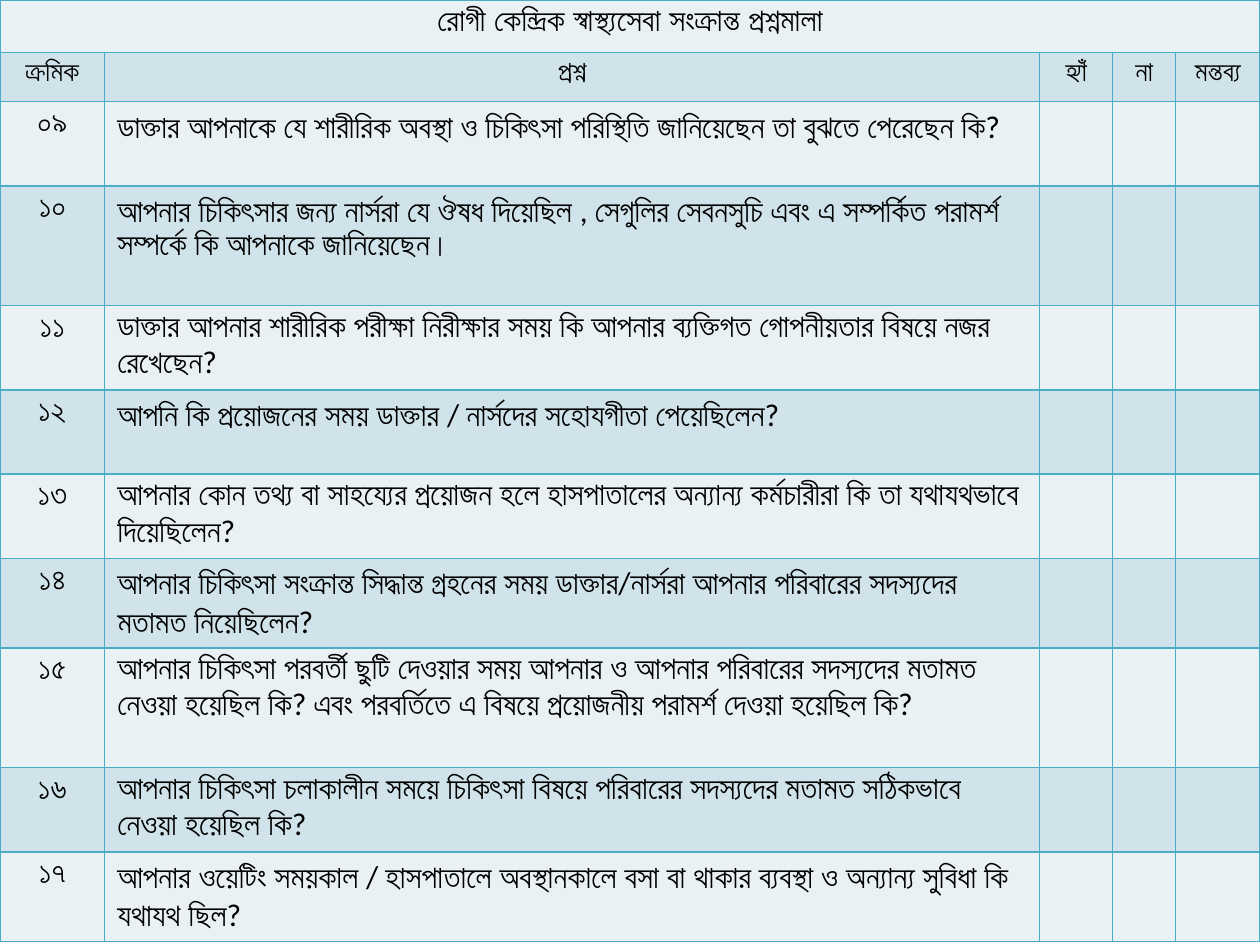
import pptx
import pptx.dml.color
import pptx.enum.text
import pptx.oxml
import pptx.oxml.ns
import pptx.util
from pptx.util import Cm

TITLE = "রোগী কেন্দ্রিক স্বাস্থ্যসেবা সংক্রান্ত প্রশ্নমালা"
HEADINGS = ["ক্রমিক", "প্রশ্ন", "হ্যাঁ", "না", "মন্তব্য"]
QUESTIONS = [
    ("০৯", "ডাক্তার আপনাকে যে শারীরিক অবস্থা ও চিকিৎসা পরিস্থিতি জানিয়েছেন তা বুঝতে পেরেছেন কি?"),
    ("১০", "আপনার চিকিৎসার জন্য নার্সরা যে ঔষধ দিয়েছিল , সেগুলির সেবনসুচি এবং এ সম্পর্কিত পরামর্শ সম্পর্কে কি আপনাকে জানিয়েছেন।"),
    ("১১", "ডাক্তার আপনার শারীরিক পরীক্ষা নিরীক্ষার সময় কি আপনার ব্যক্তিগত গোপনীয়তার বিষয়ে নজর রেখেছেন?"),
    ("১২", "আপনি কি প্রয়োজনের সময় ডাক্তার / নার্সদের সহোযগীতা পেয়েছিলেন?"),
    ("১৩", "আপনার কোন তথ্য বা সাহয্যের প্রয়োজন হলে হাসপাতালের অন্যান্য কর্মচারীরা কি তা যথাযথভাবে দিয়েছিলেন?"),
    ("১৪", "আপনার চিকিৎসা সংক্রান্ত সিদ্ধান্ত গ্রহনের সময় ডাক্তার/নার্সরা আপনার পরিবারের সদস্যদের মতামত নিয়েছিলেন?"),
    ("১৫", "আপনার চিকিৎসা পরবর্তী ছুটি দেওয়ার সময় আপনার ও আপনার পরিবারের সদস্যদের মতামত নেওয়া হয়েছিল কি? এবং পরবর্তিতে এ বিষয়ে প্রয়োজনীয় পরামর্শ দেওয়া হয়েছিল কি?"),
    ("১৬", "আপনার চিকিৎসা চলাকালীন সময়ে চিকিৎসা বিষয়ে পরিবারের সদস্যদের মতামত সঠিকভাবে নেওয়া হয়েছিল কি?"),
    ("১৭", "আপনার ওয়েটিং সময়কাল / হাসপাতালে অবস্থানকালে বসা বা থাকার ব্যবস্থা ও অন্যান্য সুবিধা কি যথাযথ ছিল?"),
]
COLUMN_WIDTHS = [2.11, 18.85, 1.47, 1.27, 1.7]
ROW_HEIGHTS = [1.06, 0.99, 1.7, 2.41, 1.7, 1.7, 1.7, 1.7, 2.41, 1.7, 1.7]
BAND_FILLS = ["E9F1F5", "D0E3EA"]
BORDER = "4BACC6"


def color(value):
    return pptx.dml.color.RGBColor.from_string(value)


def set_borders(cell):
    properties = cell._tc.get_or_add_tcPr()
    for position, side in enumerate(("lnL", "lnR", "lnT", "lnB")):
        line = pptx.oxml.parse_xml(
            f'<a:{side} {pptx.oxml.ns.nsdecls("a")} w="12700"><a:solidFill>'
            f'<a:srgbClr val="{BORDER}"/></a:solidFill></a:{side}>')
        properties.insert(position, line)


def write_cell(cell, text, size, bold, centered):
    paragraph = cell.text_frame.paragraphs[0]
    if centered:
        paragraph.alignment = pptx.enum.text.PP_ALIGN.CENTER
    run = paragraph.add_run()
    run.text = text
    font_format = {"name": "Calibri", "size": pptx.util.Pt(size), "bold": bold}
    for name, value in font_format.items():
        setattr(run.font, name, value)
    run.font.color.rgb = color("000000")


def add_questionnaire(slide):
    rows = [[TITLE], HEADINGS, *QUESTIONS]
    table = slide.shapes.add_table(
        len(rows), len(HEADINGS), Cm(0), Cm(0),
        Cm(sum(COLUMN_WIDTHS)), Cm(sum(ROW_HEIGHTS))).table
    for name in ("first_row", "horz_banding"):
        setattr(table, name, False)
    for column, width in zip(table.columns, COLUMN_WIDTHS):
        column.width = Cm(width)
    for row_index, texts in enumerate(rows):
        row = table.rows[row_index]
        row.height = Cm(ROW_HEIGHTS[row_index])
        for cell in row.cells:
            cell.fill.solid()
            cell.fill.fore_color.rgb = color(BAND_FILLS[row_index % 2])
            set_borders(cell)
        for column_index, text in enumerate(texts):
            write_cell(row.cells[column_index], text,
                       size=16 if row_index == 1 else 18,
                       bold=row_index == 0,
                       centered=row_index < 2 or column_index == 0)
    table.cell(0, 0).merge(table.cell(0, len(HEADINGS) - 1))


def main():
    """Build the patient-centred care questionnaire slide."""
    presentation = pptx.Presentation()
    presentation.slide_width, presentation.slide_height = Cm(25.4), Cm(19.05)
    slide = presentation.slides.add_slide(presentation.slide_layouts[6])
    add_questionnaire(slide)
    presentation.save("out.pptx")


if __name__ == "__main__":
    main()
